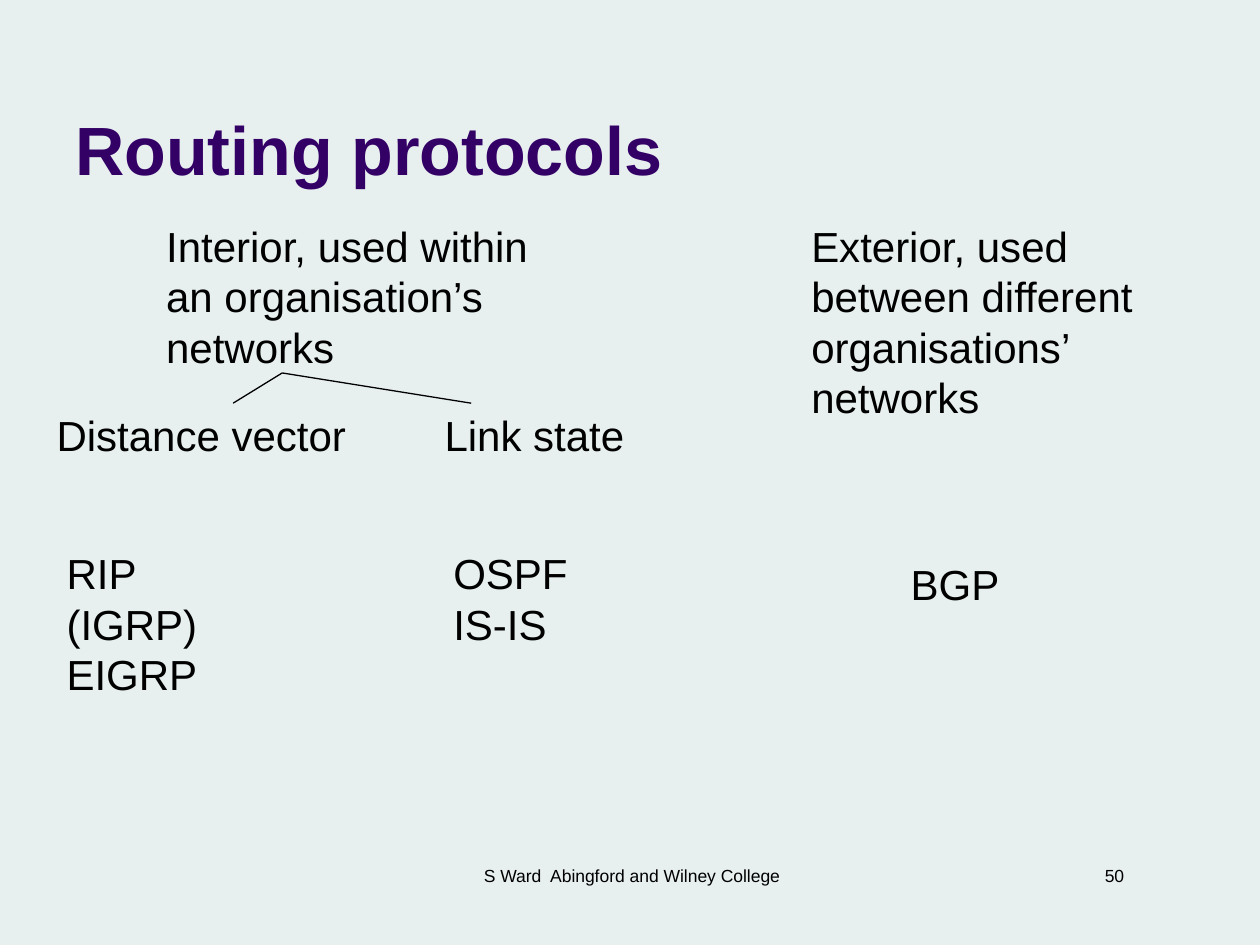
from pptx import Presentation
from pptx.dml.color import RGBColor
from pptx.enum.shapes import MSO_CONNECTOR
from pptx.enum.text import MSO_ANCHOR, PP_ALIGN
from pptx.oxml.ns import qn
from pptx.util import Inches, Pt

BACKGROUND = RGBColor(0xE7, 0xEF, 0xEF)
PURPLE = RGBColor(0x33, 0x00, 0x66)
BLACK = RGBColor(0, 0, 0)
LEFT, CENTER, RIGHT = PP_ALIGN.LEFT, PP_ALIGN.CENTER, PP_ALIGN.RIGHT
TOP, BOTTOM = MSO_ANCHOR.TOP, MSO_ANCHOR.BOTTOM
STRAIGHT = MSO_CONNECTOR.STRAIGHT

# Content
TITLE = "Routing protocols"
FOOTER = "S Ward  Abingford and Wilney College"
PAGE_NUMBER = "50"

# Rows of the diagram, in inches from the top
SCOPE_ROW, FAMILY_ROW, PROTOCOL_ROW, FOOTER_ROW = 1.7, 3.2, 4.3, 6.82
LINE_HEIGHT, PADDING = 0.4, 0.1

# Diagram entries: lines, left, top, width, number of lines shown
ENTRIES = [
    (["Interior, used within an organisation’s networks"], 1.22, SCOPE_ROW, 3.15, 3),
    (["Exterior, used between different organisations’ networks"], 6.34, SCOPE_ROW, 3.15, 4),
    (["Distance vector"], 0.35, FAMILY_ROW, 3.15, 1),
    (["Link state"], 3.43, FAMILY_ROW, 1.97, 1),
    (["RIP", "(IGRP)", "EIGRP"], 0.43, PROTOCOL_ROW, 1.89, 3),
    (["OSPF", "IS-IS"], 3.5, PROTOCOL_ROW, 1.57, 2),
    (["BGP"], 7.13, PROTOCOL_ROW + 0.08, 1.26, 1),
]
# Branches from the interior protocols to their two families
BRANCH_START = (2.24, 2.96)
BRANCH_ENDS = [(1.85, FAMILY_ROW), (3.74, FAMILY_ROW)]


def add_text(s, lines, left, top, width, height, size=24, color=BLACK,
             bold=False, align=LEFT, anchor=TOP):
    box = s.shapes.add_textbox(*map(Inches, (left, top, width, height)))
    tf = box.text_frame
    tf.word_wrap = True
    tf.vertical_anchor = anchor
    tf.text = "\n".join(lines)
    for p in tf.paragraphs:
        p.alignment = align
        p.font.name = "Arial"
        p.font.size = Pt(size)
        p.font.bold = bold
        p.font.color.rgb = color


def add_branch(s, start, end):
    line = s.shapes.add_connector(STRAIGHT, *map(Inches, start + end))
    line.line.color.rgb = BLACK
    line.line.width = Pt(0.75)
    sp_pr = line._element.spPr
    sp_pr.append(sp_pr.makeelement(qn("a:effectLst"), {}))


def main():
    prs = Presentation()
    prs.slide_width, prs.slide_height = Inches(10), Inches(7.5)
    s = prs.slides.add_slide(prs.slide_layouts[6])
    s.background.fill.solid()
    s.background.fill.fore_color.rgb = BACKGROUND

    # Title and footer
    add_text(s, [TITLE], 0.5, 0.13, 8.25, 1.42, 39, PURPLE, True, anchor=BOTTOM)
    add_text(s, [FOOTER], 3.43, FOOTER_ROW, 3.17, 0.5, 10, align=CENTER)
    add_text(s, [PAGE_NUMBER], 6.97, FOOTER_ROW, 2.05, 0.27, 10, align=RIGHT)

    # Protocol diagram
    for lines, left, top, width, rows in ENTRIES:
        add_text(s, lines, left, top, width, rows * LINE_HEIGHT + PADDING)
    for end in BRANCH_ENDS:
        add_branch(s, BRANCH_START, end)

    prs.save("out.pptx")


if __name__ == "__main__":
    main()
